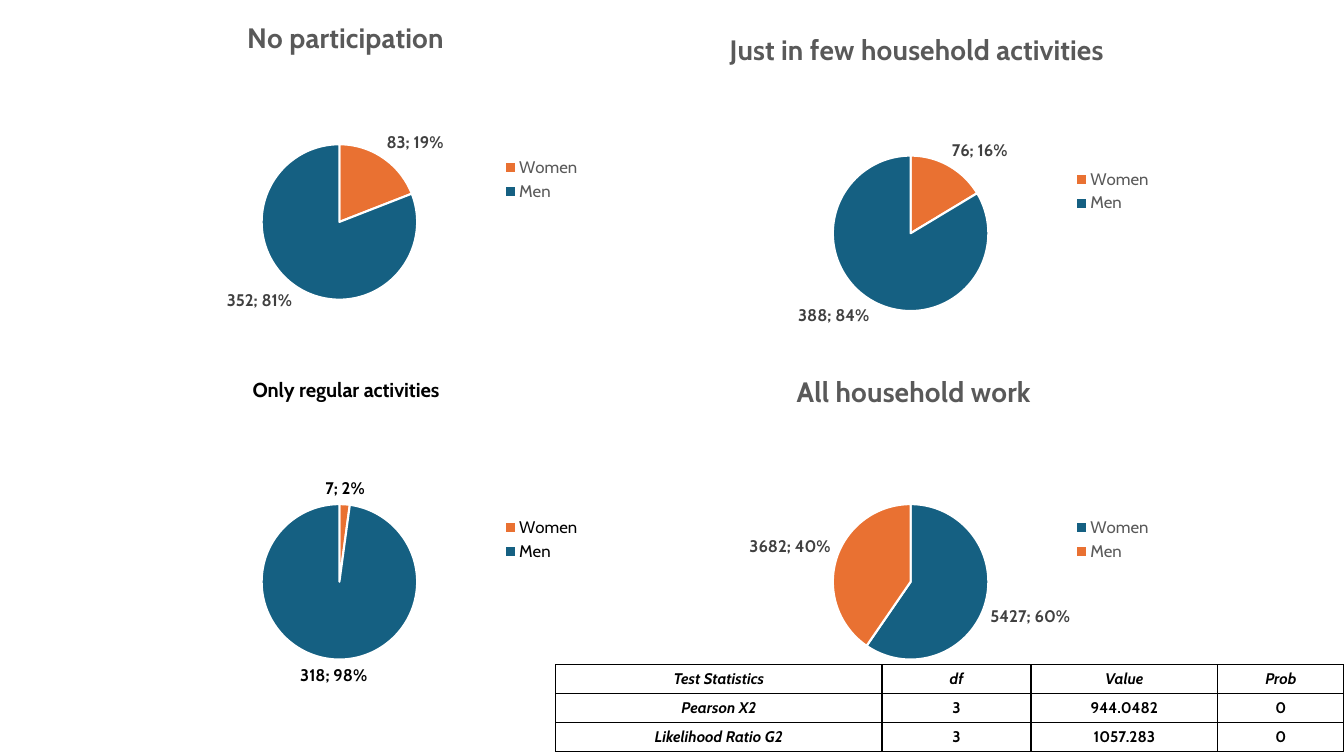
from typing import NamedTuple

from lxml import etree
from pptx import Presentation
from pptx.chart.data import CategoryChartData
from pptx.dml.color import RGBColor
from pptx.enum.chart import XL_CHART_TYPE, XL_LABEL_POSITION, XL_LEGEND_POSITION
from pptx.enum.text import MSO_ANCHOR, PP_ALIGN
from pptx.oxml import parse_xml
from pptx.oxml.ns import nsdecls, qn
from pptx.util import Inches, Pt

PIE = XL_CHART_TYPE.PIE
RIGHT = XL_LEGEND_POSITION.RIGHT
OUTSIDE = XL_LABEL_POSITION.OUTSIDE_END
MIDDLE = MSO_ANCHOR.MIDDLE
CENTER = PP_ALIGN.CENTER

WIDTH, HEIGHT = Inches(13.33), Inches(7.5)
FONT = "Cabin"
BLACK, GREY, DARK, WHITE = "000000", "595959", "404040", "FFFFFF"
ORANGE, BLUE = "E97132", "156082"

# Chart grid, in percent of the slide
LEFT_COL, RIGHT_COL = 7.5, 50
CHART_W, CHART_H = 36.5, 47.6
# Plot area, in percent of the chart
PLOT = {"x": 32.8, "y": 23.4, "w": 31.7, "h": 76.6}


class Pie(NamedTuple):
    title: str
    left: float
    top: float
    counts: tuple[int, int]
    title_at: tuple[float, float]
    slices: tuple[str, str] = (ORANGE, BLUE)
    title_size: float = 20
    text_color: str = GREY
    label_color: str = DARK


PIES = [
    Pie("No participation", LEFT_COL, 0, (83, 352), (28.8, 3.6)),
    Pie("Just in few household activities", RIGHT_COL, 1.5, (76, 388), (10.7, 3.6)),
    Pie("Only regular activities", LEFT_COL, CHART_H, (7, 318), (30.2, 3.6),
        title_size=14.4, text_color=BLACK, label_color=BLACK),
    Pie("All household work", RIGHT_COL, CHART_H, (5427, 3682), (24.4, 2),
        slices=(BLUE, ORANGE)),
]

# Table, in percent of the slide and of its own width
TABLE_LEFT, TABLE_TOP, TABLE_W, ROW_H = 41.35, 87.95, 58.65, 3.8
COLUMN_SHARES = (41.4, 18.9, 23.7, 16)
TEST_ROWS = [
    ("Test Statistics", "df", "Value", "Prob"),
    ("Pearson X2", "3", "944.0482", "0"),
    ("Likelihood Ratio G2", "3", "1057.283", "0"),
]


def part(length: float, percent: float) -> int:
    return round(length * percent / 100)


def rgb(color: str) -> RGBColor:
    return RGBColor.from_string(color)


def style(font, size: float, color: str, bold: bool = False, italic: bool = False) -> None:
    font.name, font.size = FONT, Pt(size)
    font.bold, font.italic = bold, italic
    font.color.rgb = rgb(color)


def set_layout(parent, index: int, percents: dict[str, float], inner: bool = False) -> None:
    """Fix the place of a chart part, in percent of the chart."""
    for old in parent.findall(qn("c:layout")):
        parent.remove(old)
    layout = etree.Element(qn("c:layout"))
    manual = etree.SubElement(layout, qn("c:manualLayout"))
    settings = {"layoutTarget": "inner"} if inner else {}
    settings |= {"xMode": "edge", "yMode": "edge"}
    settings |= {tag: str(value / 100) for tag, value in percents.items()}
    for tag, value in settings.items():
        etree.SubElement(manual, qn(f"c:{tag}")).set("val", value)
    parent.insert(index, layout)


def style_series(series, slices: tuple[str, str], label_color: str, is_count: bool) -> None:
    for i, color in enumerate(slices):
        look = series.points[i].format
        look.fill.solid()
        look.fill.fore_color.rgb = rgb(color)
        look.line.color.rgb = rgb(WHITE)
        look.line.width = Pt(1.5)
    labels = series.data_labels
    labels.show_percentage = True
    labels.show_value = is_count
    labels.show_category_name = not is_count
    labels.position = OUTSIDE
    style(labels.font, 12, label_color, bold=is_count)
    separator = etree.Element(qn("c:separator"))
    separator.text = "; "
    labels._element.find(qn("c:showBubbleSize")).addnext(separator)


def add_pie(slide, pie: Pie) -> None:
    data = CategoryChartData()
    data.categories = ["Women", "Men"]
    data.add_series("Series 1", pie.counts)
    data.add_series("Series 2", [round(100 * n / sum(pie.counts)) for n in pie.counts])
    chart = slide.shapes.add_chart(
        PIE, part(WIDTH, pie.left), part(HEIGHT, pie.top),
        part(WIDTH, CHART_W), part(HEIGHT, CHART_H), data).chart
    chart.replace_data(data)  # a new pie takes only the first series
    style(chart.font, 12, pie.text_color)

    # Title
    chart.has_title = True
    p = chart.chart_title.text_frame.paragraphs[0]
    p.text = pie.title
    style(p.font, pie.title_size, pie.text_color, bold=True)
    root = chart._chartSpace
    set_layout(root.xpath("c:chart/c:title")[0], 1, dict(zip("xy", pie.title_at)))
    set_layout(root.xpath("c:chart/c:plotArea")[0], 0, PLOT, inner=True)

    # Legend
    chart.has_legend = True
    chart.legend.position = RIGHT
    chart.legend.include_in_layout = False
    style(chart.legend.font, 12, pie.text_color)

    # Slices and labels
    plot = chart.plots[0]
    plot.vary_by_categories = True
    counts, percents = plot.series
    style_series(counts, pie.slices, pie.label_color, is_count=True)
    style_series(percents, (ORANGE, BLUE), pie.label_color, is_count=False)


def add_borders(cell) -> None:
    tc_pr = cell._tc.get_or_add_tcPr()
    for i, side in enumerate("LRTB"):
        tc_pr.insert(i, parse_xml(
            f'<a:ln{side} {nsdecls("a")} w="{Pt(0.96)}"><a:solidFill>'
            f'<a:srgbClr val="{BLACK}"/></a:solidFill></a:ln{side}>'))


def add_test_table(slide) -> None:
    width = part(WIDTH, TABLE_W)
    table = slide.shapes.add_table(
        len(TEST_ROWS), len(COLUMN_SHARES), part(WIDTH, TABLE_LEFT),
        part(HEIGHT, TABLE_TOP), width, part(HEIGHT, ROW_H * len(TEST_ROWS))).table
    table.first_row = table.horz_banding = False
    for column, share in zip(table.columns, COLUMN_SHARES):
        column.width = part(width, share)
    for r, row in enumerate(TEST_ROWS):
        for c, text in enumerate(row):
            cell = table.cell(r, c)
            cell.fill.background()
            cell.vertical_anchor = MIDDLE
            cell.margin_left = cell.margin_right = Inches(0.01)
            cell.margin_top = cell.margin_bottom = Inches(0.05)
            add_borders(cell)
            p = cell.text_frame.paragraphs[0]
            p.text, p.alignment = text, CENTER
            style(p.font, 11, BLACK, bold=True, italic=r == 0 or c == 0)


def main() -> None:
    prs = Presentation()
    prs.slide_width, prs.slide_height = WIDTH, HEIGHT
    slide = prs.slides.add_slide(prs.slide_layouts[6])
    for pie in PIES:
        add_pie(slide, pie)
    add_test_table(slide)
    prs.save("out.pptx")


if __name__ == "__main__":
    main()
